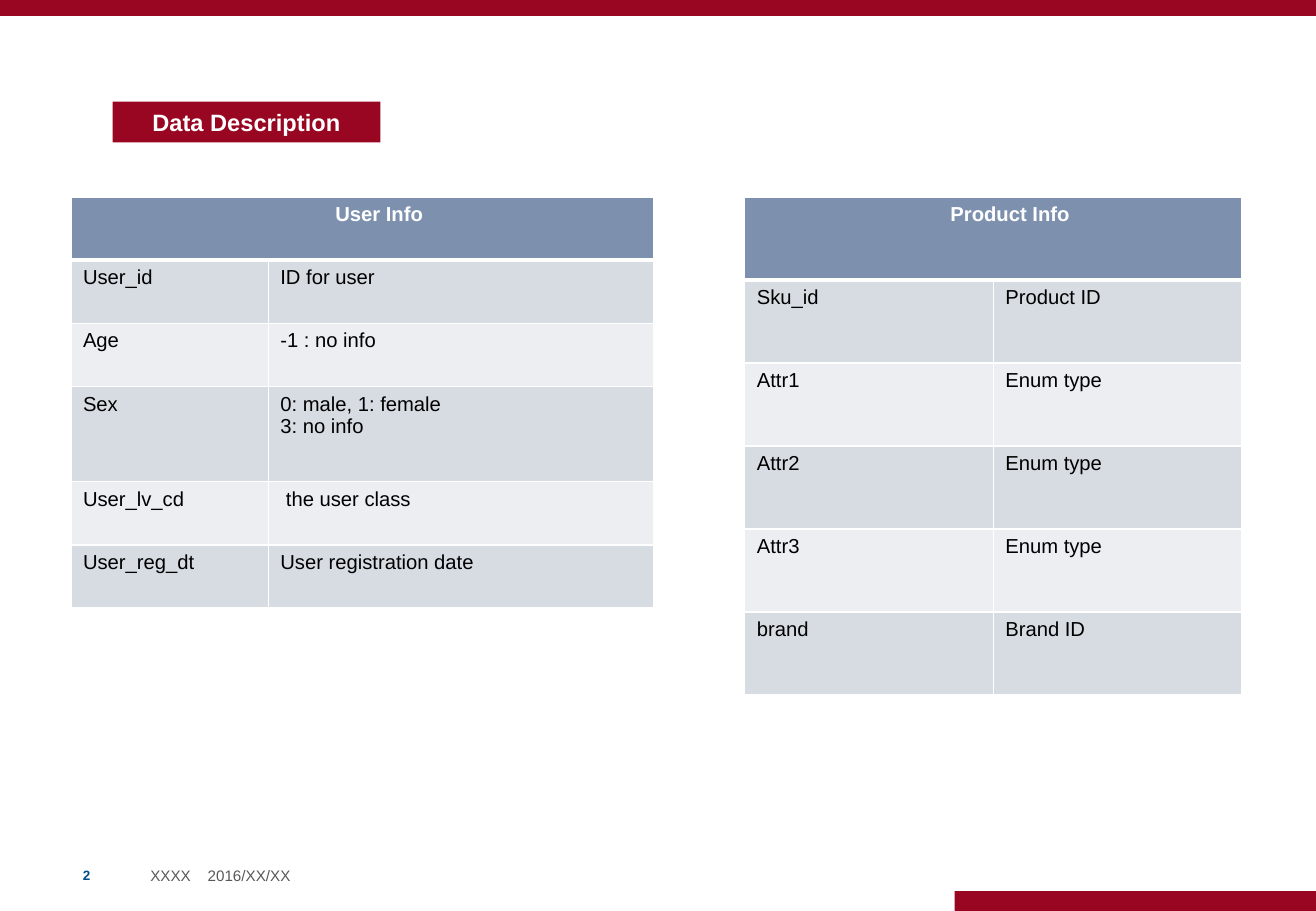
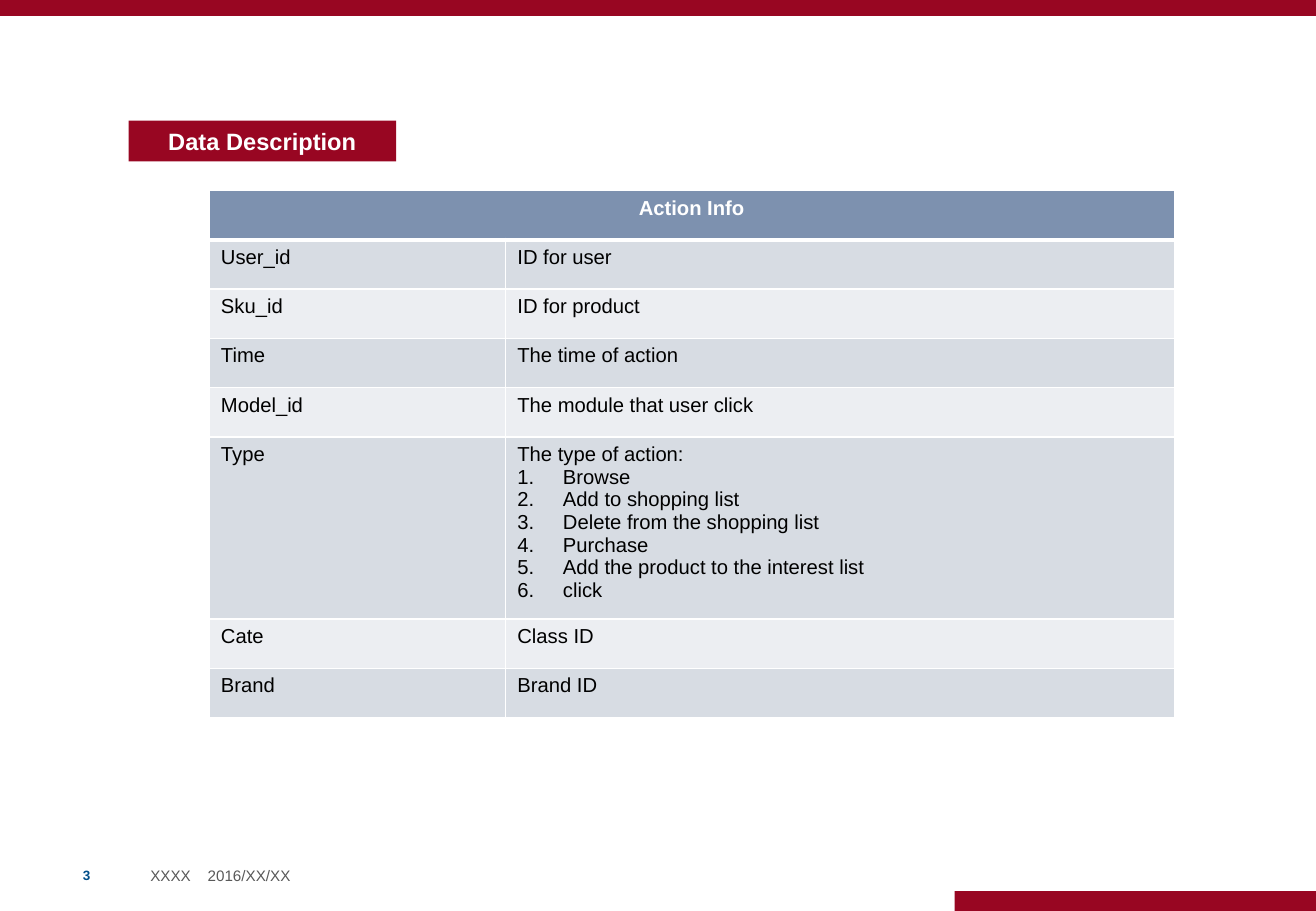
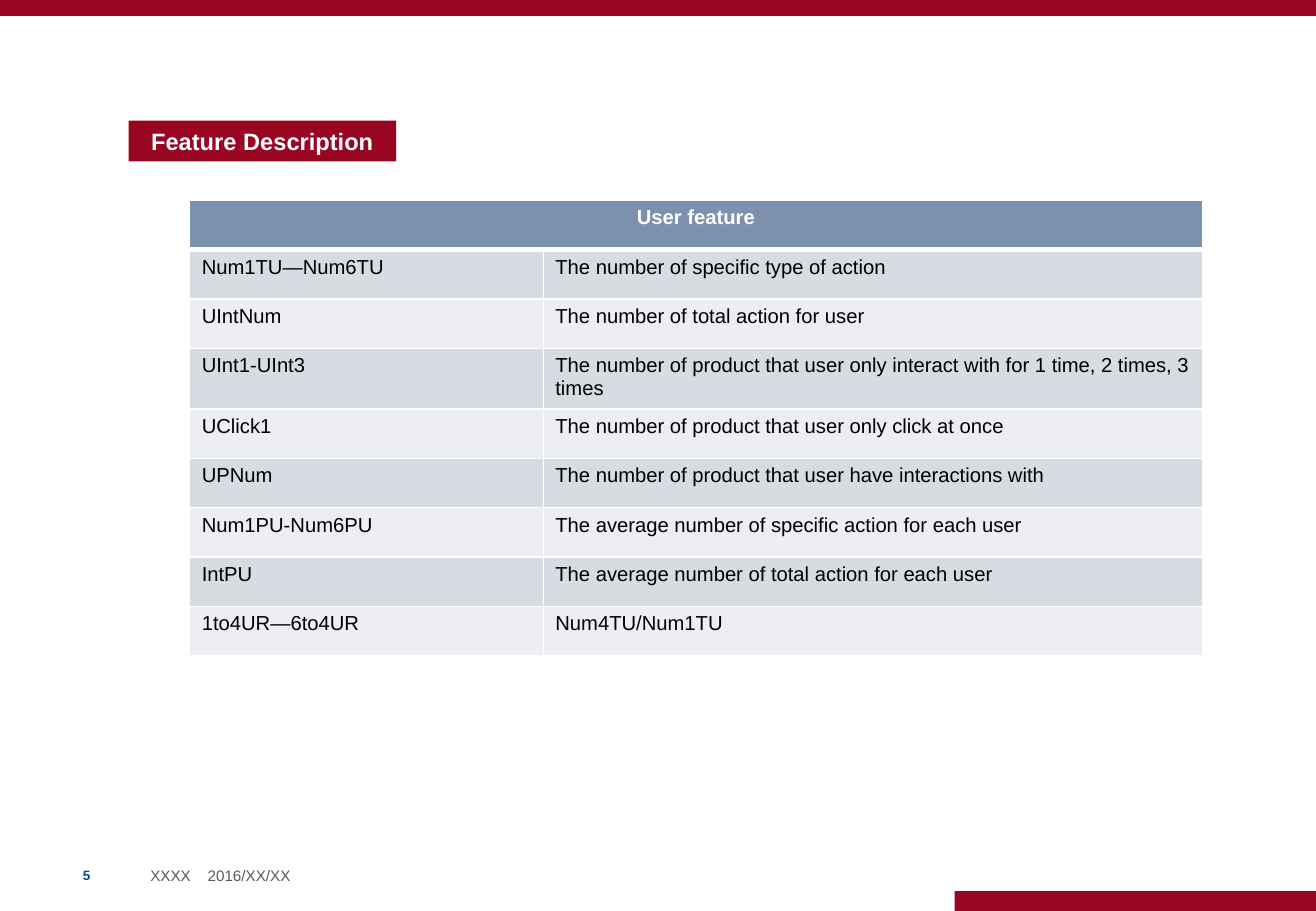
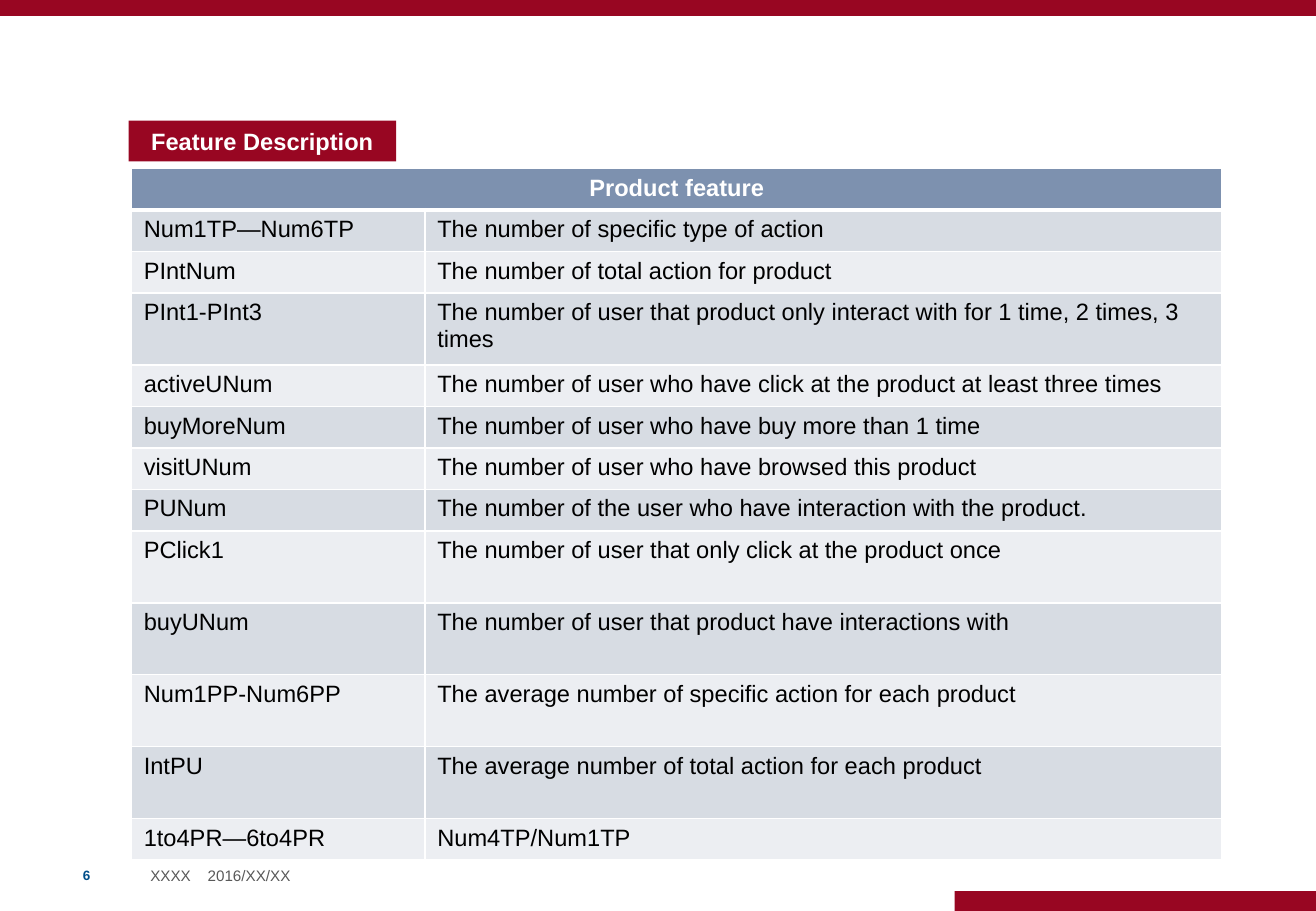
from dataclasses import dataclass

from lxml.etree import SubElement
from pptx import Presentation
from pptx.dml.color import RGBColor
from pptx.enum.shapes import MSO_SHAPE
from pptx.enum.text import MSO_ANCHOR, MSO_AUTO_SIZE, PP_ALIGN
from pptx.oxml.ns import qn
from pptx.util import Pt


@dataclass(frozen=True)
class Theme:
    """Colours, font and type sizes of the deck."""
    font: str = "Arial"
    red: str = "980622"
    header: str = "7D91AF"
    stripes: tuple = ("D7DCE3", "ECEEF2")
    white: str = "FFFFFF"
    black: str = "000000"
    grey: str = "595959"
    blue: str = "004E89"
    title_size: int = 14
    table_size: int = 12
    footer_size: int = 9
    number_size: int = 8


THEME = Theme()


def write(paragraph, text, size, color, bold=False):
    """Add one formatted run to a paragraph."""
    run = paragraph.add_run()
    run.text = text
    run.font.name = THEME.font
    run.font.size = Pt(size)
    run.font.bold = bold
    run.font.color.rgb = RGBColor.from_string(color)


def paint_cell(cell, color, top, bottom):
    """Give a cell white borders and a solid fill."""
    properties = cell._tc.get_or_add_tcPr()
    for side, width in (("L", 1), ("R", 1), ("T", top), ("B", bottom)):
        line = SubElement(properties, qn(f"a:ln{side}"), w=str(Pt(width)))
        line_fill = SubElement(line, qn("a:solidFill"))
        SubElement(line_fill, qn("a:srgbClr"), val=THEME.white)
    cell.fill.solid()
    cell.fill.fore_color.rgb = RGBColor.from_string(color)


# A cell is a string, or a tuple of an introduction and its numbered items.
user_info = {
    "heading": "User Info", "heading_indent": 20, "at": (42, 116.8),
    "columns": (117, 228.5), "row_height": 37.5, "tall": {3: 56.3},
    "rows": [
        ("User_id", "ID for user"),
        ("Age", "-1 : no info"),
        ("Sex", "0: male, 1: female\n3: no info"),
        ("User_lv_cd", " the user class"),
        ("User_reg_dt", "User registration date"),
    ],
}
product_info = {
    "heading": "Product Info", "heading_indent": 20, "at": (441.4, 116.8),
    "columns": (147.3, 147.3), "row_height": 49.2,
    "rows": [
        ("Sku_id", "Product ID"),
        ("Attr1", "Enum type"),
        ("Attr2", "Enum type"),
        ("Attr3", "Enum type"),
        ("brand", "Brand ID"),
    ],
}
action_info = {
    "heading": "Action Info", "at": (123.8, 113),
    "columns": (175.7, 396.6), "row_height": 29.2, "tall": {5: 107.5},
    "rows": [
        ("User_id", "ID for user"),
        ("Sku_id", "ID for product"),
        ("Time", "The time of action"),
        ("Model_id", "The module that user click"),
        ("Type", ("The type of action:", "Browse", "Add to shopping list",
                  "Delete from the shopping list", "Purchase",
                  "Add the product to the interest list", "click")),
        ("Cate", "Class ID"),
        ("Brand", "Brand ID"),
    ],
}
user_feature = {
    "heading": "User feature", "at": (112.4, 118.8),
    "columns": (209.6, 390.6), "row_height": 29.25, "tall": {3: 35.9},
    "rows": [
        ("Num1TU—Num6TU", "The number of specific type of action"),
        ("UIntNum", "The number of total action for user"),
        ("UInt1-UInt3", "The number of product that user only interact with "
                        "for 1 time, 2 times, 3 times"),
        ("UClick1", "The number of product that user only click at once"),
        ("UPNum", "The number of product that user have interactions with"),
        ("Num1PU-Num6PU", "The average number of specific action for each user"),
        ("IntPU", "The average number of total action for each user"),
        ("1to4UR—6to4UR", "Num4TU/Num1TU"),
    ],
}
product_feature = {
    "heading": "Product feature", "at": (78, 100),
    "columns": (174, 472.3), "row_height": 24.6, "size": THEME.title_size,
    "tall": dict.fromkeys((3, 8, 9, 10, 11), 42.65),
    "rows": [
        ("Num1TP—Num6TP", "The number of specific type of action"),
        ("PIntNum", "The number of total action for product"),
        ("PInt1-PInt3", "The number of user that product only interact with "
                        "for 1 time, 2 times, 3 times"),
        ("activeUNum", "The number of user who have click at the product "
                       "at least three times"),
        ("buyMoreNum", "The number of user who have buy more than 1 time"),
        ("visitUNum", "The number of user who have browsed this product"),
        ("PUNum", "The number of the user who have interaction with the product."),
        ("PClick1", "The number of user that only click at the product once"),
        ("buyUNum", "The number of user that product have interactions with"),
        ("Num1PP-Num6PP", "The average number of specific action for each product"),
        ("IntPU", "The average number of total action for each product"),
        ("1to4PR—6to4PR", "Num4TP/Num1TP"),
    ],
}
pages = [
    ("2", "Data Description", (66.8, 60.2), [user_info, product_info]),
    ("3", "Data Description", (76.2, 71.5), [action_info]),
    ("5", "Feature Description", (76.2, 71.5), [user_feature]),
    ("6", "Feature Description", (76.2, 71.5), [product_feature]),
]

presentation = Presentation()
presentation.slide_width = Pt(780)
presentation.slide_height = Pt(540)
layout = presentation.slide_layouts[5]
slides = [presentation.slides.add_slide(layout) for _ in pages]

# Bands and footer are drawn once, then moved to the shared layout.
for left, top, width, height in ((0, 0, 780, 9.4), (565.8, 528.3, 214.2, 11.7)):
    band = slides[0].shapes.add_shape(
        MSO_SHAPE.RECTANGLE, Pt(left), Pt(top), Pt(width), Pt(height))
    band.shadow.inherit = False
    band.fill.solid()
    band.fill.fore_color.rgb = RGBColor.from_string(THEME.red)
    band.line.fill.background()
    layout.shapes.element.append(band.element)

footer = slides[0].shapes.add_textbox(Pt(82), Pt(510), Pt(370), Pt(18))
footer.text_frame.word_wrap = True
footer.text_frame.vertical_anchor = MSO_ANCHOR.MIDDLE
footer_line = footer.text_frame.paragraphs[0]
tab_stops = SubElement(footer_line._p.get_or_add_pPr(), qn("a:tabLst"))
SubElement(tab_stops, qn("a:tab"), pos=str(Pt(34)), algn="l")
write(footer_line, "XXXX\t2016/XX/XX", THEME.footer_size, THEME.grey)
layout.shapes.element.append(footer.element)

for slide, (number, heading, (title_left, title_top), tables) in zip(slides, pages):
    page_number = slide.shapes.add_textbox(Pt(42), Pt(509.5), Pt(36), Pt(18))
    page_number.text_frame.word_wrap = True
    page_number.text_frame.vertical_anchor = MSO_ANCHOR.MIDDLE
    write(page_number.text_frame.paragraphs[0], number,
          THEME.number_size, THEME.blue, bold=True)

    title = slide.shapes.title
    title.left, title.top = Pt(title_left), Pt(title_top)
    title.width, title.height = Pt(158.6), Pt(24.2)
    title.fill.solid()
    title.fill.fore_color.rgb = RGBColor.from_string(THEME.red)
    title_frame = title.text_frame
    title_frame.auto_size = MSO_AUTO_SIZE.NONE
    title_frame.vertical_anchor = MSO_ANCHOR.MIDDLE
    title_frame.margin_top = title_frame.margin_bottom = 0
    title_frame.paragraphs[0].alignment = PP_ALIGN.CENTER
    write(title_frame.paragraphs[0], heading,
          THEME.title_size, THEME.white, bold=True)

    for content in tables:
        size = content.get("size", THEME.table_size)
        heights = [content.get("tall", {}).get(row, content["row_height"])
                   for row in range(len(content["rows"]) + 1)]
        left, top = content["at"]
        table = slide.shapes.add_table(
            len(heights), 2, Pt(left), Pt(top),
            Pt(sum(content["columns"])), Pt(sum(heights))).table
        for column, width in zip(table.columns, content["columns"]):
            column.width = Pt(width)
        for row, height in zip(table.rows, heights):
            row.height = Pt(height)

        for column in range(2):
            paint_cell(table.cell(0, column), THEME.header, 1, 3)
        header = table.cell(0, 0)
        header.merge(table.cell(0, 1))
        header.margin_left = Pt(7.2 + content.get("heading_indent", 0))
        header_line = header.text_frame.paragraphs[0]
        header_line.alignment = PP_ALIGN.CENTER
        write(header_line, content["heading"], size, THEME.white, bold=True)

        for row, entries in enumerate(content["rows"], start=1):
            for column, entry in enumerate(entries):
                cell = table.cell(row, column)
                paint_cell(cell, THEME.stripes[(row - 1) % 2],
                           3 if row == 1 else 1, 1)
                numbered = isinstance(entry, tuple)
                lines = entry if numbered else entry.split("\n")
                for index, line in enumerate(lines):
                    frame = cell.text_frame
                    paragraph = frame.add_paragraph() if index else frame.paragraphs[0]
                    if numbered and index:
                        properties = paragraph._p.get_or_add_pPr()
                        properties.set("marL", str(Pt(27)))
                        properties.set("indent", str(Pt(-27)))
                        SubElement(properties, qn("a:buFont"), typeface="+mj-lt")
                        SubElement(properties, qn("a:buAutoNum"), type="arabicPeriod")
                    write(paragraph, line, size, THEME.black)

presentation.save("out.pptx")
